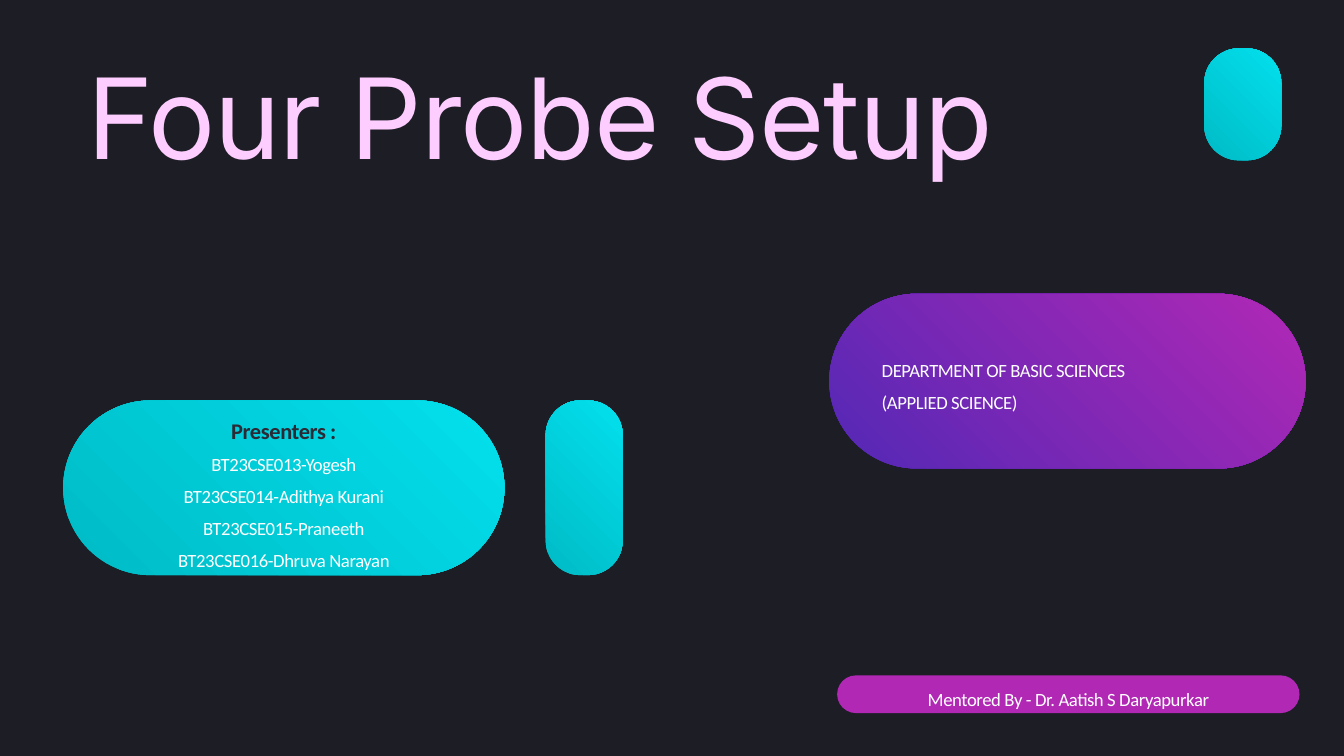
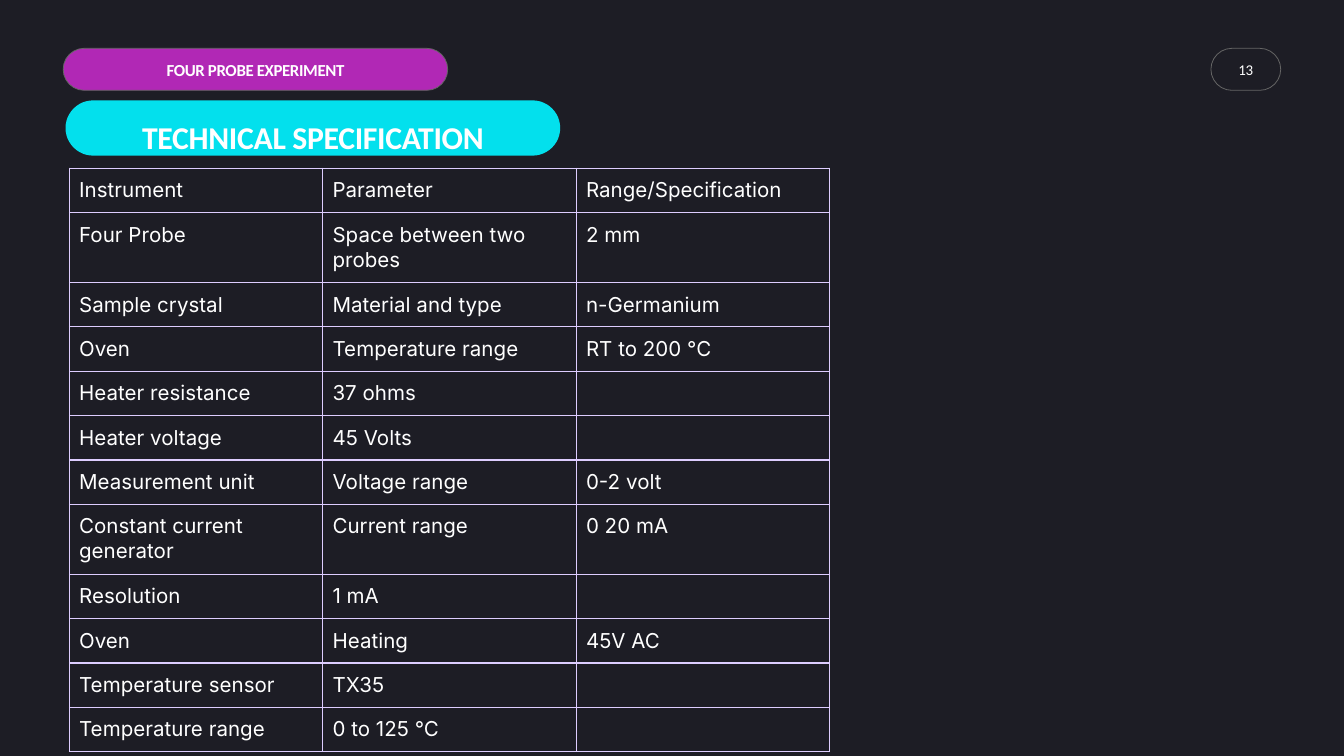
from lxml.etree import SubElement
from pptx import Presentation
from pptx.dml.color import RGBColor
from pptx.enum.shapes import MSO_SHAPE
from pptx.enum.text import MSO_ANCHOR, PP_ALIGN
from pptx.oxml.ns import qn
from pptx.util import Pt

INK = RGBColor(0x1D, 0x1D, 0x25)
HEADING = RGBColor(0x2B, 0x2A, 0x35)
WHITE = RGBColor(0xFF, 0xFF, 0xFF)
PINK = RGBColor(0xFE, 0xCD, 0xFF)
TEAL = RGBColor(0x00, 0xBB, 0xC6)
CYAN = RGBColor(0x03, 0xE0, 0xED)
VIOLET = RGBColor(0x53, 0x28, 0xB5)
MAGENTA = RGBColor(0xB1, 0x28, 0xB5)
GREY = RGBColor(0x65, 0x65, 0x65)
LILAC = RGBColor(0xDD, 0xCD, 0xFF)


def add_pill(slide, box, colors, rounding=0.8, outlined=False):
    """Rounded shape: no colour leaves it open, two colours make a gradient."""
    pill = slide.shapes.add_shape(MSO_SHAPE.ROUNDED_RECTANGLE, *map(Pt, box))
    pill.adjustments[0] = rounding
    pill.shadow.inherit = False
    if len(colors) == 2:
        pill.fill.gradient()
        pill.fill.gradient_angle = 45
        for stop, position, color in zip(pill.fill.gradient_stops, (0, 1), colors):
            stop.position = position
            stop.color.rgb = color
    elif colors:
        pill.fill.solid()
        pill.fill.fore_color.rgb = colors[0]
    else:
        pill.fill.background()
    if outlined:
        pill.line.color.rgb = GREY
        pill.line.width = Pt(0.42)
    else:
        pill.line.fill.background()
    return pill


def write_lines(shape, lines, inset, align=PP_ALIGN.CENTER, anchor=MSO_ANCHOR.MIDDLE,
                font="Calibri", tracking=-0.2):
    """Each line is (text, size, line spacing, colour, bold)."""
    frame = shape.text_frame
    frame.word_wrap = True
    frame.vertical_anchor = anchor
    frame.margin_left = frame.margin_right = Pt(inset[0])
    frame.margin_top = frame.margin_bottom = Pt(inset[1])
    for index, (text, size, spacing, color, bold) in enumerate(lines):
        paragraph = frame.add_paragraph() if index else frame.paragraphs[0]
        paragraph.alignment = align
        paragraph.line_spacing = Pt(spacing)
        run = paragraph.add_run()
        run.text = text
        run.font.name = font
        run.font.size = Pt(size)
        run.font.bold = bold
        run.font.color.rgb = color
        run.font._element.set("spc", str(round(tracking * 100)))


prs = Presentation()
prs.slide_width, prs.slide_height = Pt(720), Pt(405)
cover, specification = (prs.slides.add_slide(prs.slide_layouts[6]) for _ in range(2))
for slide in (cover, specification):
    slide.background.fill.solid()
    slide.background.fill.fore_color.rgb = INK

# Cover: presenters and accent pills
presenters = add_pill(cover, (33.84, 214.56, 236.4, 93.6), (TEAL, CYAN))
names = ["BT23CSE013-Yogesh", "BT23CSE014-Adithya Kurani",
         "BT23CSE015-Praneeth", "BT23CSE016-Dhruva Narayan"]
write_lines(presenters,
            [("Presenters :", 12, 21, HEADING, True)]
            + [(name, 10, 17.1, WHITE, False) for name in names],
            (13, 10.8))
for accent_box in ((292.3, 214.56, 41.3, 93.6), (645.1, 25.92, 41.3, 60)):
    add_pill(cover, accent_box, (TEAL, CYAN), rounding=0.45)

# Cover: mentor and department
mentor = add_pill(cover, (448.5, 361.8, 247.7, 20.2), (MAGENTA,))
write_lines(mentor, [("Mentored By - Dr. Aatish S Daryapurkar", 10, 17.1, WHITE, False)],
            (13.7, 2.2))
department = add_pill(cover, (444.24, 157.4, 255.2, 93.6), (VIOLET, MAGENTA))
write_lines(department,
            [(text, 10, 17.1, WHITE, False)
             for text in ("DEPARTMENT OF BASIC SCIENCES", "(APPLIED SCIENCE)")],
            (14.4, 10.8), align=PP_ALIGN.LEFT)

# Cover: title
title = cover.shapes.add_textbox(Pt(37.44), Pt(37.44), Pt(504), Pt(60))
write_lines(title, [("Four Probe Setup", 60, 60, PINK, False)], (0, 0),
            anchor=MSO_ANCHOR.TOP, font="Inter", tracking=-0.6)

# Specification: page number, running header, heading
page_number = add_pill(specification, (648.7, 25.92, 37.4, 22.5), (), 0.75, outlined=True)
write_lines(page_number, [("13", 8, 9.8, WHITE, False)], (2.2, 2.9))
running_header = add_pill(specification, (33.84, 25.92, 206, 22.5), (MAGENTA,), outlined=True)
write_lines(running_header, [("FOUR PROBE EXPERIMENT", 9, 11.7, WHITE, True)], (11.5, 2.9))
heading = add_pill(specification, (35.1, 53.8, 265, 29.6), (CYAN,))
write_lines(heading, [("TECHNICAL SPECIFICATION", 17, 30.2, WHITE, True)], (14.4, 3.6))

# Specification: table
ROWS = [
    ("Instrument", "Parameter", "Range/Specification"),
    ("Four Probe", "Space between two probes", "2 mm"),
    ("Sample crystal", "Material and type", "n-Germanium"),
    ("Oven", "Temperature range", "RT to 200 °C"),
    ("Heater resistance", "37 ohms", ""),
    ("Heater voltage", "45 Volts", ""),
    ("Measurement unit", "Voltage range", "0-2 volt"),
    ("Constant current generator", "Current range", "0 20 mA"),
    ("Resolution", "1 mA", ""),
    ("Oven", "Heating", "45V AC"),
    ("Temperature sensor", "TX35", ""),
    ("Temperature range", "0 to 125 °C", ""),
]
ROW_HEIGHT, TALL_ROW_HEIGHT = 23.8, 37.4
WRAP_LENGTH = 20
instruments = specification.shapes.add_table(
    len(ROWS), 3, Pt(37.2), Pt(90.1), Pt(407.4), Pt(311)).table
instruments.first_row = instruments.horz_banding = False
for column in instruments.columns:
    column.width = Pt(135.8)
for row, texts in zip(instruments.rows, ROWS):
    wraps = max(map(len, texts)) > WRAP_LENGTH
    row.height = Pt(TALL_ROW_HEIGHT if wraps else ROW_HEIGHT)
    for cell, text in zip(row.cells, texts):
        cell.margin_left = cell.margin_right = Pt(5.2)
        cell.margin_top = cell.margin_bottom = Pt(5.2)
        properties = cell._tc.get_or_add_tcPr()
        for side in ("a:lnL", "a:lnR", "a:lnT", "a:lnB"):
            border = SubElement(properties, qn(side), w=str(Pt(0.75)))
            border_fill = SubElement(border, qn("a:solidFill"))
            SubElement(border_fill, qn("a:srgbClr"), val=str(LILAC))
        cell.fill.background()
        paragraph = cell.text_frame.paragraphs[0]
        if text:
            run = paragraph.add_run()
            run.text = text
            run.font.name = "Inter"
            run.font.size = Pt(11)
            run.font.color.rgb = WHITE
        else:
            # Keeps an empty cell from stretching its row
            SubElement(paragraph._p, qn("a:endParaRPr"), sz="1100")

prs.save("out.pptx")
